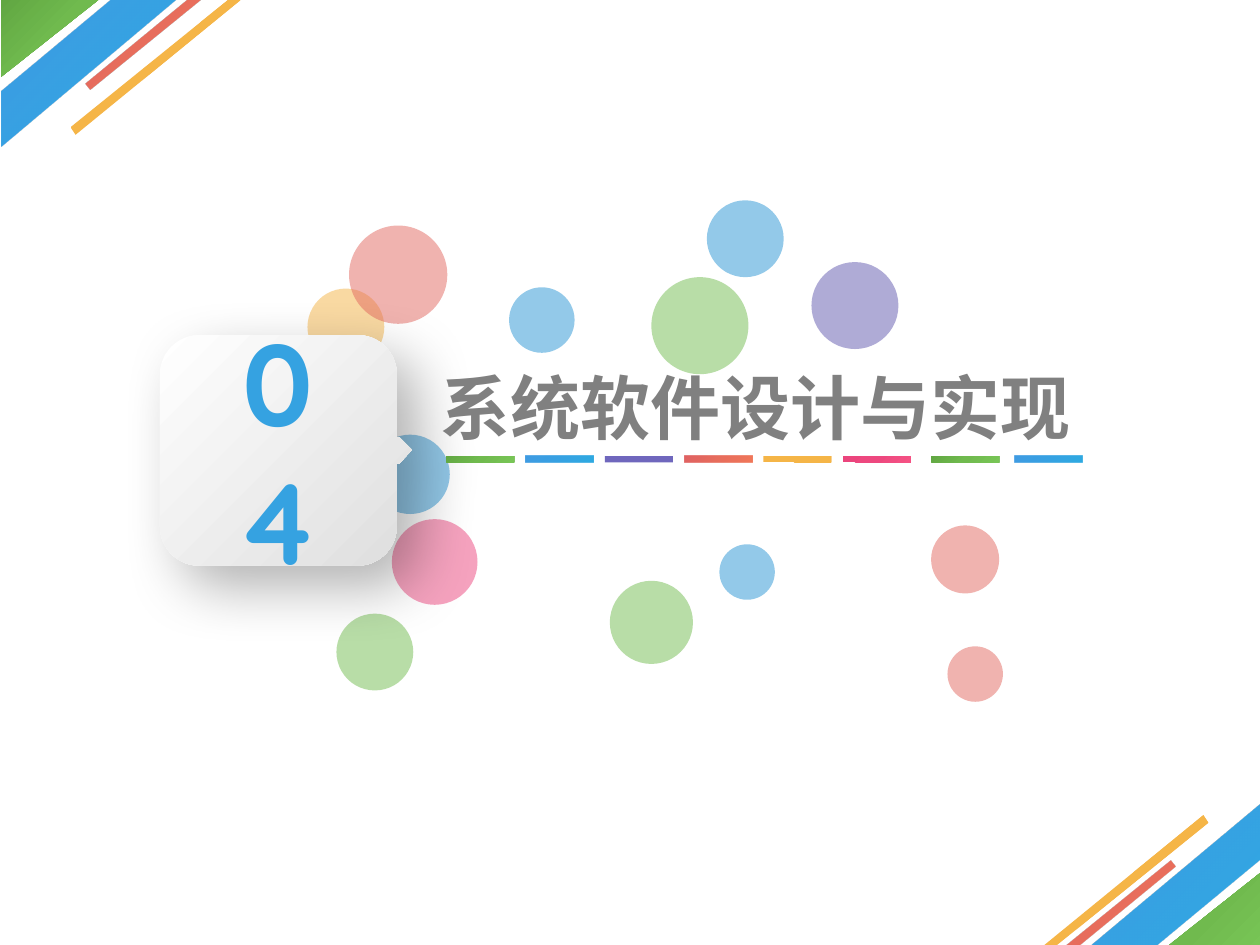
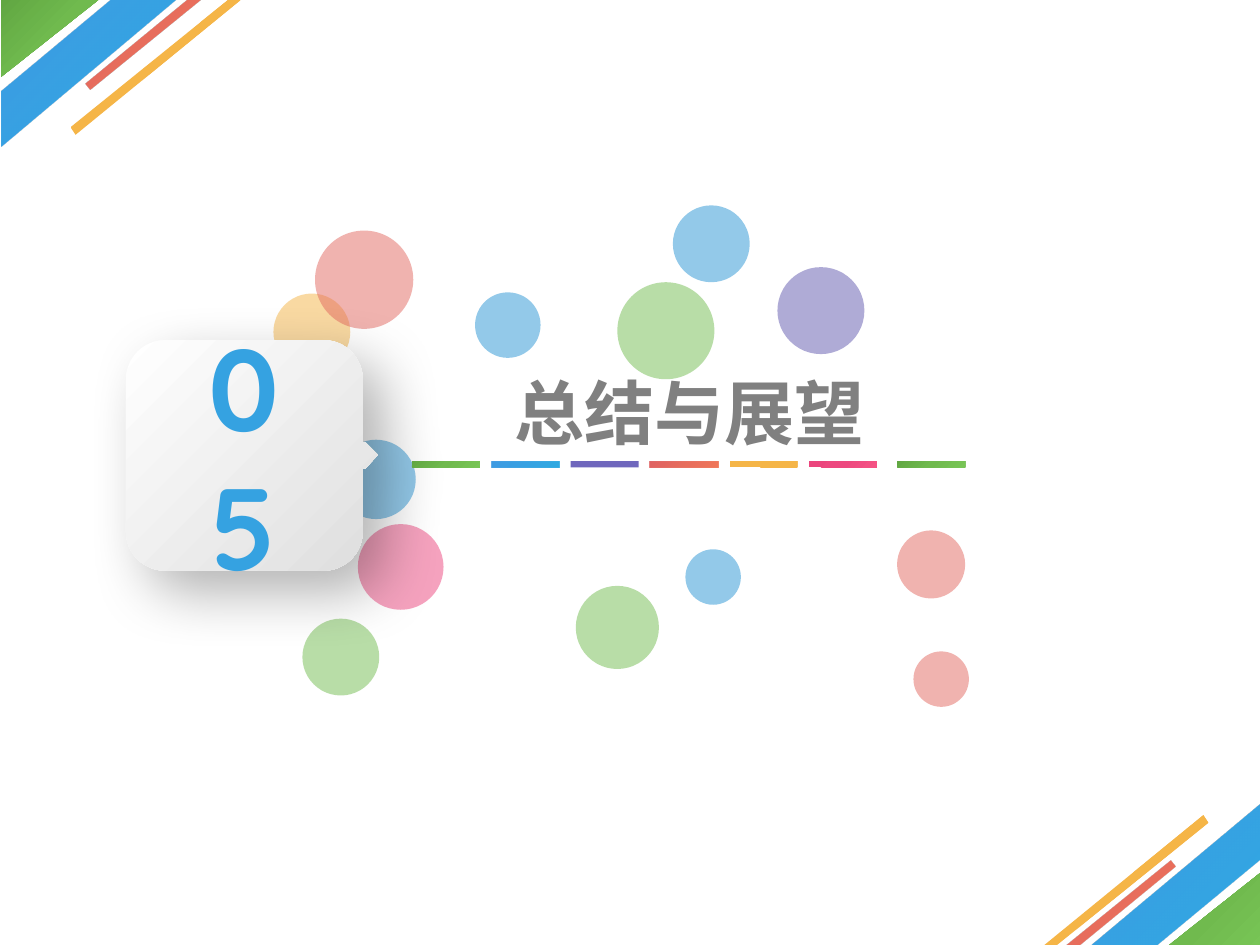
from math import cos, radians, sin

from lxml.etree import SubElement
from pptx import Presentation
from pptx.dml.color import RGBColor
from pptx.enum.shapes import MSO_SHAPE
from pptx.enum.text import MSO_ANCHOR, MSO_AUTO_SIZE, PP_ALIGN
from pptx.oxml import parse_xml
from pptx.oxml.ns import nsdecls, qn
from pptx.util import Inches, Pt

deck = Presentation()
deck.slide_width, deck.slide_height = Inches(10), Inches(7.5)
COL = deck.slide_width / 100
ROW = deck.slide_height / 75

# Each ramp holds its gradient colours, followed by its opacity in percent
GREEN = ("78C556", "70BA4E", "61A742"), 100
BLUE = ("19A2DF", "2399E0", "2D91E0"), 90
PURPLE = ("6057B6",), 90
RED = ("F06A48", "E65F4D", "DC5153"), 90
YELLOW = ("F5B647", "F5B547", "F5B547"), 100
PINK = ("F55284", "ED487F", "EB457D"), 100

# Corner stripes at the top left: ramp, outline, shift of the opposite stripe
STRIPES = [
    (BLUE, [(0.1, 11.6), (14, 0), (8.8, 0), (0.1, 7.2)], 0),
    (RED, [(7.2, 7.1), (16, 0), (14.9, 0), (6.8, 6.6)], 0),
    (YELLOW, [(6, 10.7), (19.1, 0), (18.1, 0), (5.6, 10.1)], 1.4),
]

# Bubbles: column, row, diameter, colour
BUBBLES = [
    (48.4, 46.1, 6.6, "73BD51"), (57.1, 43.2, 4.4, "2995D4"),
    (75.2, 51.3, 4.4, "E36860"), (31.1, 41.2, 6.8, "ED477F"),
    (51.7, 22, 7.7, "73BD51"), (73.9, 41.7, 5.4, "E36860"),
    (40.4, 22.8, 5.2, "2995D4"), (26.7, 48.7, 6.1, "73BD51"),
    (29.4, 34.5, 6.3, "2995D4"), (24.4, 22.9, 6.1, "F5B547"),
    (64.4, 20.8, 6.9, "6158AE"), (56.1, 15.9, 6.1, "2995D4"),
    (27.7, 17.9, 7.8, "E36860"),
]

DASHES = [(35.4 + 6.3 * i, ramp) for i, ramp in
          enumerate([GREEN, BLUE, PURPLE, RED, YELLOW, PINK])]
DASHES += [(73.9, GREEN), (80.5, BLUE)]

# Card outline: rounded corners (centre column, centre row, first angle)
CARD = []
for centre_x, centre_y, first in [(28.4, 29.7, -90), (28.4, 41.8, 0),
                                  (15.8, 41.8, 90), (15.8, 29.7, 180)]:
    for step in range(13):
        turn = radians(first + 7.5 * step)
        CARD.append((centre_x + 3.1 * cos(turn), centre_y + 3.1 * sin(turn)))
    if first == -90:
        CARD += [(31.5, 34.7), (31.7, 34.7), (32.7, 35.7), (31.7, 36.8), (31.5, 36.8)]

# Sections: number, title, title width, dash count, column shift, row shift
SECTIONS = [
    ("04", "系统软件设计与实现", 55.7, 8, 0, 0),
    ("05", "总结与展望", 50.6, 7, -2.7, 0.4),
]


def paint(item, *colours, opacity=100, angle=None):
    """Fill a shape or font with one colour, or a shape with a gradient."""
    if len(colours) == 1:
        item.fill.solid()
        item.fill.fore_color.rgb = RGBColor.from_string(colours[0])
        if opacity < 100:
            tint = item._element.spPr.find(qn("a:solidFill"))[0]
            SubElement(tint, qn("a:alpha"), val=str(opacity * 1000))
        return
    stops = "".join(
        f'<a:gs pos="{100000 * i // (len(colours) - 1)}"><a:srgbClr val="{colour}">'
        f'<a:alpha val="{opacity * 1000}"/></a:srgbClr></a:gs>'
        for i, colour in enumerate(colours))
    if angle is None:
        course = '<a:path path="circle"><a:fillToRect l="100000" t="100000"/></a:path>'
    else:
        course = f'<a:lin ang="{angle * 60000}" scaled="0"/>'
    item.fill.gradient()
    plain = item._element.spPr.find(qn("a:gradFill"))
    plain.getparent().replace(plain, parse_xml(
        f'<a:gradFill {nsdecls("a")} rotWithShape="1"><a:gsLst>{stops}</a:gsLst>'
        f'{course}</a:gradFill>'))


def write(box, text, size, font, colour):
    frame = box.text_frame
    frame.word_wrap = True
    frame.auto_size = MSO_AUTO_SIZE.SHAPE_TO_FIT_TEXT
    frame.vertical_anchor = MSO_ANCHOR.MIDDLE
    para = frame.paragraphs[0]
    para.alignment = PP_ALIGN.CENTER
    span = para.add_run()
    span.text = text
    span.font.size, span.font.bold = Pt(size), True
    paint(span.font, colour)
    span.font.name = font
    SubElement(span._r.get_or_add_rPr(), qn("a:ea"), typeface=font)


for number, title, title_width, dash_count, right, down in SECTIONS:
    page = deck.slides.add_slide(deck.slide_layouts[6])
    shapes = page.shapes

    # Corners: the lower one is the upper one turned by half
    for opposite in (False, True):
        left, top = (92.3, 69.3) if opposite else (0.1, 0)
        corner = shapes.add_shape(MSO_SHAPE.RIGHT_TRIANGLE, int(left * COL),
                                  int(top * ROW), int(7.7 * COL), int(6.1 * ROW))
        corner._element.spPr.xfrm.set("flipH" if opposite else "flipV", "1")
        paint(corner, *GREEN[0])
        for (colours, opacity), outline, shift in STRIPES:
            if opposite:
                outline = [(100.1 + shift - x, 75.4 - y) for x, y in outline]
            points = [(x * COL, y * ROW) for x, y in outline]
            pen = shapes.build_freeform(*points[0])
            pen.add_line_segments(points[1:])
            paint(pen.convert_to_shape(), *colours, opacity=opacity)

    for x, y, diameter, colour in BUBBLES:
        bubble = shapes.add_shape(MSO_SHAPE.OVAL, int((x + right) * COL),
                                  int((y + down) * ROW), int(diameter * COL),
                                  int(diameter * ROW))
        paint(bubble, colour, opacity=50)

    points = [((x + right) * COL, (y + down) * ROW) for x, y in CARD]
    pen = shapes.build_freeform(*points[0])
    pen.add_line_segments(points[1:])
    card = pen.convert_to_shape()
    paint(card, "FFFFFF", "DEDEDE", angle=45)

    label = shapes.add_shape(MSO_SHAPE.ROUNDED_RECTANGLE, int((15.3 + right) * COL),
                             int((29 + down) * ROW), int(13.5 * COL), int(13.4 * ROW))
    label.fill.background()
    write(label, number, size=66, font="Quicksand", colour="35A2E1")

    heading = shapes.add_textbox(int((32.1 + right) * COL), int((28.4 + down) * ROW),
                                 int(title_width * COL), int(7.7 * ROW))
    write(heading, title, size=40, font="Noto Sans CJK SC", colour="808080")

    for x, (colours, opacity) in DASHES[:dash_count]:
        dash = shapes.add_shape(MSO_SHAPE.RECTANGLE, int((x + right) * COL),
                                int((36.2 + down) * ROW), int(5.4 * COL), int(0.5 * ROW))
        paint(dash, *colours, opacity=opacity)

    for shape in shapes:
        shape.line.fill.background()
        shape.shadow.inherit = False
    effects = card._element.spPr.find(qn("a:effectLst"))
    shade = SubElement(effects, qn("a:outerShdw"), blurRad=str(Pt(34)),
                       dist=str(Pt(17)), dir="2700000", algn="tl", rotWithShape="0")
    tint = SubElement(shade, qn("a:srgbClr"), val="000000")
    SubElement(tint, qn("a:alpha"), val="30000")
    shade.set("dir", str(45 * 60000))

deck.save("out.pptx")
